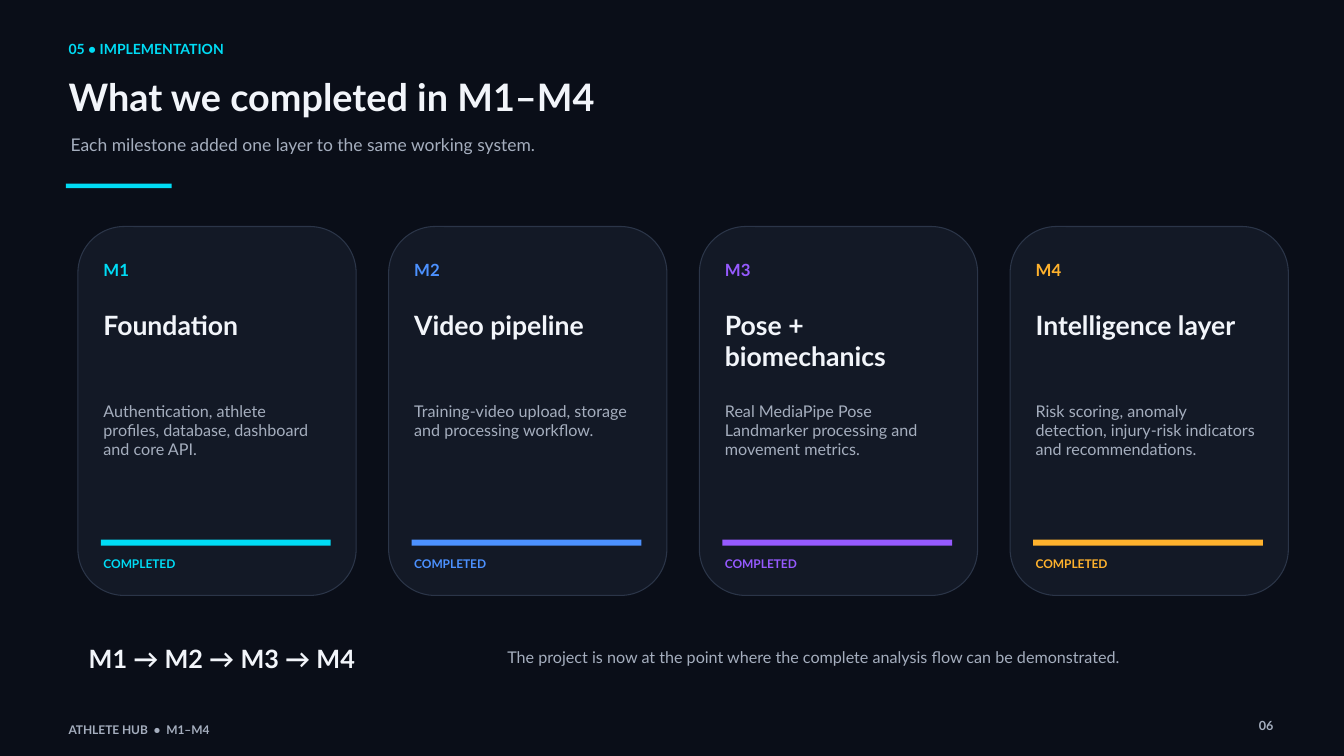
from pptx import Presentation
from pptx import util as u
from pptx.dml.color import RGBColor
from pptx.enum import shapes, text

WIDTH, HEIGHT = 20, 11.25
FONT = "Lato"
NIGHT, PANEL, EDGE = "0A0E18", "131926", "2B3548"
WHITE, GREY, CYAN = "F2F5FA", "A5AEBE", "00DCF5"

MARGIN = 5.1
CARD_LEFT, CARD_STEP, CARD_WIDTH = 5.8, 23.12, 20.7
MILESTONES = [
    ("M1", "Foundation", CYAN,
     "Authentication, athlete profiles, database, dashboard and core API."),
    ("M2", "Video pipeline", "4C91FF",
     "Training-video upload, storage and processing workflow."),
    ("M3", "Pose + biomechanics", "965AFF",
     "Real MediaPipe Pose Landmarker processing and movement metrics."),
    ("M4", "Intelligence layer", "FFB22D",
     "Risk scoring, anomaly detection, injury-risk indicators and recommendations."),
]


def paint(color_format, value):
    color_format.rgb = RGBColor.from_string(value)


def area(left, top, width, height):
    """Turn percentages of the slide's size into lengths."""
    return (u.Inches(left * WIDTH / 100), u.Inches(top * HEIGHT / 100),
            u.Inches(width * WIDTH / 100), u.Inches(height * HEIGHT / 100))


def write(box, words, size, color, bold=False, align=text.PP_ALIGN.LEFT):
    """Fill a text box or placeholder with one unpadded paragraph."""
    frame = box.text_frame
    frame.text = words
    frame.word_wrap = True
    frame.auto_size = text.MSO_AUTO_SIZE.SHAPE_TO_FIT_TEXT
    frame.vertical_anchor = text.MSO_ANCHOR.TOP
    frame.margin_left = frame.margin_right = 0
    frame.margin_top = frame.margin_bottom = 0
    para = frame.paragraphs[0]
    para.alignment = align
    para.line_spacing = u.Pt(size * 1.2)
    span = para.runs[0]
    span.font.name = FONT
    span.font.size = u.Pt(size)
    span.font.bold = bold
    paint(span.font.color, color)


def add_label(page, place, words, size, color, **style):
    write(page.shapes.add_textbox(*area(*place)), words, size, color, **style)


def add_title(page, place, words):
    title = page.shapes.title
    title.left, title.top, title.width, title.height = area(*place)
    write(title, words, 40.5, WHITE, bold=True)


def add_block(page, kind, place, color):
    block = page.shapes.add_shape(kind, *area(*place))
    block.shadow.inherit = False
    block.fill.solid()
    paint(block.fill.fore_color, color)
    block.line.fill.background()
    return block


def add_bar(page, place, color):
    add_block(page, shapes.MSO_SHAPE.RECTANGLE, place, color)


def add_card(page, column, tag, heading, color, summary):
    left = CARD_LEFT + column * CARD_STEP
    inner = left + 1.9
    panel = add_block(page, shapes.MSO_SHAPE.ROUNDED_RECTANGLE,
                      (left, 29.96, CARD_WIDTH, 48.8), PANEL)
    panel.adjustments[0] = 1 / 6
    paint(panel.line.color, EDGE)
    panel.line.width = u.Pt(1.13)
    add_label(page, (inner, 34.4, 5.25, 3.02), tag, 18, color, bold=True)
    add_label(page, (inner, 40.8, 16.85, 7.56), heading, 28.5, WHITE, bold=True)
    add_label(page, (inner, 53.07, 16.5, 15.02), summary, 17.25, GREY)
    add_bar(page, (left + 1.7, 71.38, 17.1, 0.8), color)
    add_label(page, (inner, 73.69, 10.1, 2.31), "COMPLETED", 12.75, color, bold=True)


def add_header(page):
    add_label(page, (MARGIN, 5.42, 22.1, 3.02), "05 • IMPLEMENTATION", 15, CYAN, bold=True)
    add_title(page, (MARGIN, 9.78, 89.65, 6.93), "What we completed in M1–M4")
    add_label(page, (5.25, 17.69, 87.4, 4.89),
              "Each milestone added one layer to the same working system.", 18.75, GREY)
    add_bar(page, (4.9, 24.3, 7.88, 0.6), CYAN)


def add_footer(page):
    add_label(page, (6.6, 85.07, 33.4, 4), "M1 → M2 → M3 → M4", 27, WHITE, bold=True)
    add_label(page, (37.75, 85.6, 52.9, 3.29),
              "The project is now at the point where the complete analysis flow "
              "can be demonstrated.", 17.25, GREY)
    add_label(page, (MARGIN, 95.56, 22.1, 1.78), "ATHLETE HUB  •  M1–M4", 12.75, GREY, bold=True)
    add_label(page, (91.75, 95.02, 3, 2.31), "06", 13.5, GREY, bold=True,
              align=text.PP_ALIGN.RIGHT)


def main():
    deck = Presentation()
    deck.slide_width, deck.slide_height = u.Inches(WIDTH), u.Inches(HEIGHT)
    page = deck.slides.add_slide(deck.slide_layouts.get_by_name("Title Only"))
    page.background.fill.solid()
    paint(page.background.fill.fore_color, NIGHT)
    add_header(page)
    for column, milestone in enumerate(MILESTONES):
        add_card(page, column, *milestone)
    add_footer(page)
    deck.save("out.pptx")


if __name__ == "__main__":
    main()
